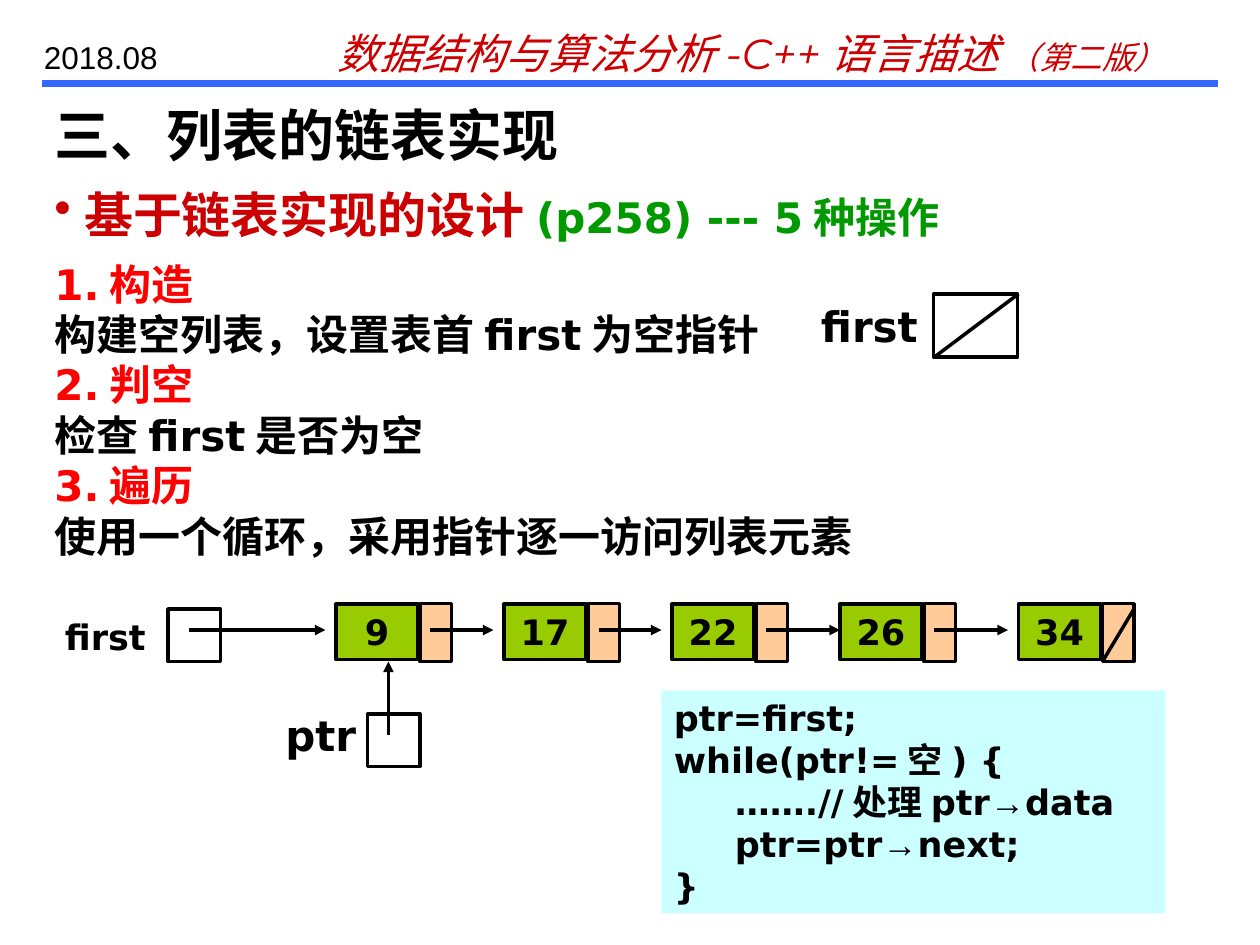
from lxml.etree import SubElement
from pptx import Presentation
from pptx.dml.color import RGBColor
from pptx.enum.shapes import MSO_CONNECTOR as Connector, MSO_SHAPE as Preset
from pptx.enum.text import MSO_ANCHOR as Anchor, MSO_AUTO_SIZE as AutoSize, PP_ALIGN as Align
from pptx.oxml.ns import qn
from pptx.util import Pt

BLACK, RED, BRIGHT_RED, GREEN = "000000", "CC0000", "FF0000", "009900"
LIME, PEACH, PALE_CYAN, BLUE = "99CC00", "FFCC99", "CCFFFF", "3366FF"
BODY = "DejaVu Sans"

TITLE = "三、列表的链表实现"
HEADER = [[("数据结构与算法分析-C++语言描述 ", {}), ("（第二版）", {"size": 18})]]
DESIGN = [[("基于链表实现的设计", {"size": 28, "color": RED}), ("(p258) --- 5种操作", {})]]
OPERATIONS = [
    ("1.构造", "构建空列表，设置表首first为空指针"),
    ("2.判空", "检查first是否为空"),
    ("3.遍历", "使用一个循环，采用指针逐一访问列表元素"),
]
ARROW = ("→", {"font": "Arial"})
CODE = [
    "ptr=first;",
    "while(ptr!=空) {",
    [("     …….//处理ptr", {}), ARROW, ("data", {})],
    [("     ptr=ptr", {}), ARROW, ("next;", {})],
    "}",
]
NODES = [("9", 192), ("17", 288), ("22", 384), ("26", 480), ("34", 582)]
ARROW_ENDS = [282, 378, 480, 576]
NODE_TOP, NODE_HEIGHT, DATA_WIDTH, LINK_WIDTH = 345, 32, 47, 18
ARROW_Y = 360

presentation = Presentation()
presentation.slide_width, presentation.slide_height = Pt(720), Pt(540)
slide = presentation.slides.add_slide(presentation.slide_layouts[5])


def rgb(value):
    return RGBColor.from_string(value)


def write(shape, paragraphs, size=24, color=BLACK, font=BODY, bold=True,
          italic=False, align=Align.LEFT, anchor=Anchor.TOP):
    frame = shape.text_frame
    frame.word_wrap = True
    frame.auto_size = AutoSize.NONE
    frame.vertical_anchor = anchor
    if isinstance(paragraphs, str):
        paragraphs = [paragraphs]
    for index, runs in enumerate(paragraphs):
        paragraph = frame.add_paragraph() if index else frame.paragraphs[0]
        paragraph.alignment = align
        for text, changes in [(runs, {})] if isinstance(runs, str) else runs:
            run = paragraph.add_run()
            run.text = text
            run.font.size = Pt(changes.get("size", size))
            run.font.name = changes.get("font", font)
            run.font.color.rgb = rgb(changes.get("color", color))
            run.font.bold, run.font.italic = bold, italic
    return shape


def add_text(paragraphs, left, top, width, height, **style):
    box = slide.shapes.add_textbox(Pt(left), Pt(top), Pt(width), Pt(height))
    return write(box, paragraphs, **style)


def add_box(left, top, width, height, fill=None, outlined=True):
    shape = slide.shapes.add_shape(Preset.RECTANGLE, Pt(left), Pt(top), Pt(width), Pt(height))
    shape.shadow.inherit = False
    if fill:
        shape.fill.solid()
        shape.fill.fore_color.rgb = rgb(fill)
    else:
        shape.fill.background()
    if outlined:
        shape.line.color.rgb = rgb(BLACK)
        shape.line.width = Pt(2)
    else:
        shape.line.fill.background()
    return shape


def add_line(x1, y1, x2, y2, color=BLACK, width=2, arrow=False):
    line = slide.shapes.add_connector(Connector.STRAIGHT, Pt(x1), Pt(y1), Pt(x2), Pt(y2))
    line.line.color.rgb = rgb(color)
    line.line.width = Pt(width)
    if arrow:
        SubElement(line.line._get_or_add_ln(), qn("a:tailEnd"), type="triangle")
    SubElement(line._element.spPr, qn("a:effectLst"))


def add_bullet(paragraph, color, indent):
    properties = paragraph._p.get_or_add_pPr()
    properties.set("marL", str(Pt(indent)))
    properties.set("indent", str(-Pt(indent)))
    bullet_color = SubElement(properties, qn("a:buClr"))
    SubElement(bullet_color, qn("a:srgbClr"), val=color)
    SubElement(properties, qn("a:buChar"), char="•")


add_line(24, 48, 696, 48, color=BLUE, width=4)
add_text(HEADER, 186, 12, 504, 36, color=RED, font="Montserrat", bold=False, italic=True)
add_text("2018.08", 18, 18, 102, 29, size=18, font="Arial", bold=False)

title = slide.shapes.title
title.left, title.top, title.width, title.height = Pt(24), Pt(54), Pt(648), Pt(48)
write(title, TITLE, size=32, font="Arial")

design = add_text(DESIGN, 24, 102, 678, 41, color=GREEN)
add_bullet(design.text_frame.paragraphs[0], RED, 17)

operation_lines = []
for heading, detail in OPERATIONS:
    operation_lines += [[(heading, {"color": BRIGHT_RED})], detail]
add_text(operation_lines, 24, 144, 678, 180)

add_box(533.5, 168, 48, 36)
add_line(534, 204, 582, 168)
add_text("first", 462, 168, 84, 36)

for value, left in NODES:
    data = add_box(left, NODE_TOP, DATA_WIDTH, NODE_HEIGHT, LIME)
    write(data, value, size=20, align=Align.CENTER, anchor=Anchor.MIDDLE)
    add_box(left + 48, NODE_TOP, LINK_WIDTH, 33, PEACH)
for (value, left), end in zip(NODES, ARROW_ENDS):
    add_line(left + 54, ARROW_Y, end, ARROW_Y, arrow=True)
last_link = NODES[-1][1] + 48
add_line(last_link, 378, last_link + LINK_WIDTH, 348)

add_box(96, 348, 30, 30)
add_text("first", 30, 348, 66, 32, size=20)
add_line(108, ARROW_Y, 186, ARROW_Y, arrow=True)

add_line(222, 420, 222, 378, arrow=True)
add_text("ptr", 156, 402, 60, 36)
add_box(210, 408, 30, 30)

write(add_box(378, 394.5, 288, 127.5, PALE_CYAN, outlined=False), CODE, size=20)

presentation.save("out.pptx")
